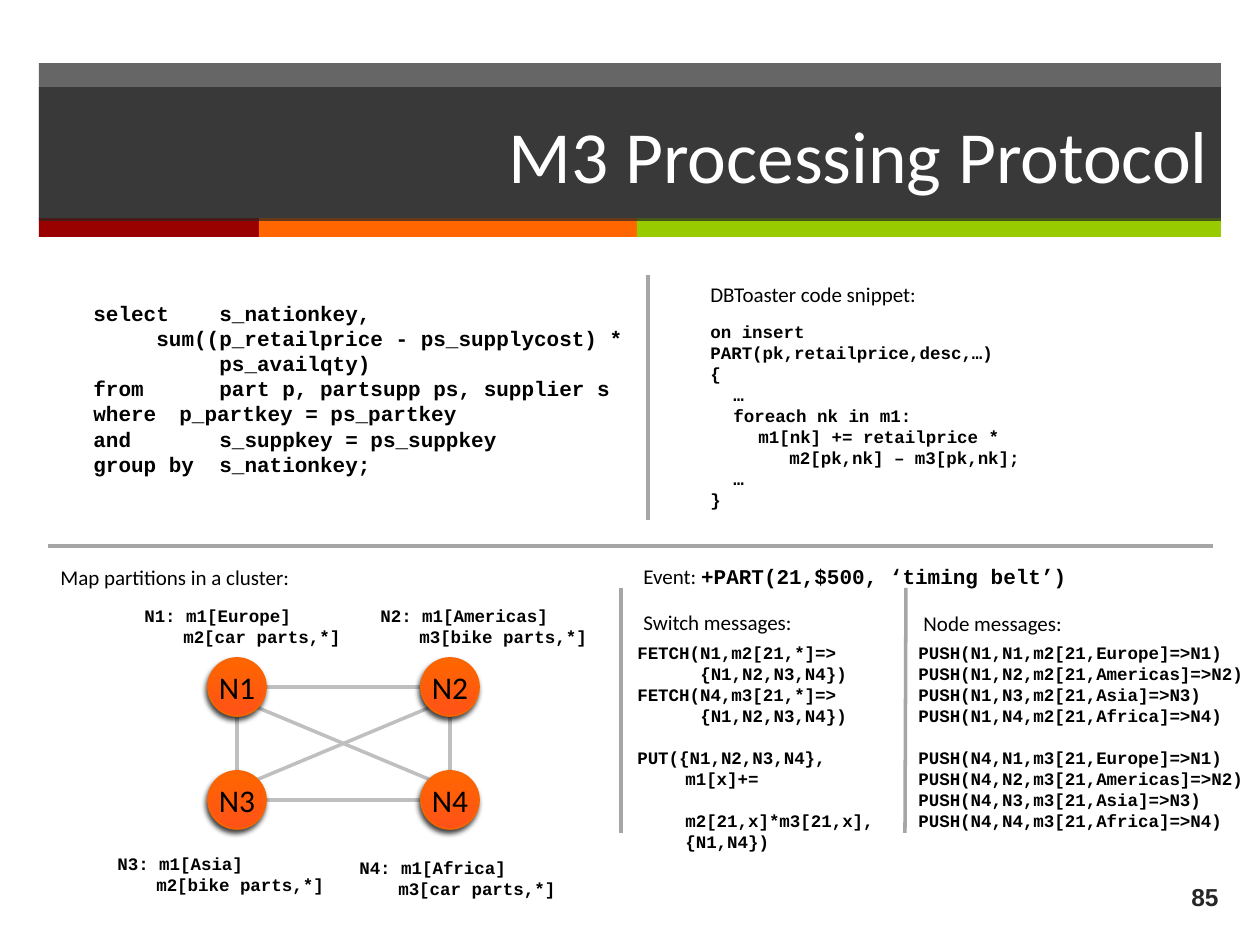
from itertools import combinations
from math import hypot

from lxml.etree import SubElement
from pptx import Presentation
from pptx.dml.color import RGBColor
from pptx.enum.shapes import MSO_CONNECTOR, MSO_SHAPE
from pptx.enum.text import MSO_ANCHOR, PP_ALIGN
from pptx.oxml.ns import qn
from pptx.util import Pt

PX = 914400 / 126
SANS, MONO = "Calibri", "Courier New"
BLACK, WHITE, DARK = "000000", "FFFFFF", "262626"

# Content: code lines are (text, tab stops, indent, space before)
STRIPES = [(39, 220, "990000"), (259, 378, "FF6600"), (637, 584, "99CC00")]

QUERY = [
    ("select\ts_nationkey,", [126]),
    ("\t\tsum((p_retailprice - ps_supplycost) *", [32, 63]),
    ("\t\t\tps_availqty)", [32, 86, 126]),
    ("from\t\tpart p, partsupp ps, supplier s", [63, 126]),
    ("where\tp_partkey = ps_partkey", [86]),
    ("and\t\ts_suppkey = ps_suppkey", [63, 126]),
    ("group by\ts_nationkey;", [126]),
]
STOPS = [23, 48, 79]
SNIPPET = [
    ("on insert",),
    ("PART(pk,retailprice,desc,…)",),
    ("{",),
    ("\t…", STOPS),
    ("\tforeach nk in m1:", STOPS),
    ("\t\tm1[nk] += retailprice *", STOPS),
    ("\t\t\tm2[pk,nk] – m3[pk,nk];", STOPS),
    ("\t…", STOPS),
    ("}",),
]
SWITCH_MESSAGES = [
    ("FETCH(N1,m2[21,*]=>",),
    ("\t{N1,N2,N3,N4})", [63]),
    ("FETCH(N4,m3[21,*]=>",),
    ("\t{N1,N2,N3,N4})", [63]),
    ("PUT({N1,N2,N3,N4},", [], 0, 12),
    ("m1[x]+=", [], 48),
    ("\tm2[21,x]*m3[21,x],", [71], 48),
    ("{N1,N4})", [], 48),
]
NODE_MESSAGES = [
    ("PUSH(N1,N1,m2[21,Europe]=>N1)",),
    ("PUSH(N1,N2,m2[21,Americas]=>N2)",),
    ("PUSH(N1,N3,m2[21,Asia]=>N3)",),
    ("PUSH(N1,N4,m2[21,Africa]=>N4)",),
    ("PUSH(N4,N1,m3[21,Europe]=>N1)", [], 0, 12),
    ("PUSH(N4,N2,m3[21,Americas]=>N2)",),
    ("PUSH(N4,N3,m3[21,Asia]=>N3)",),
    ("PUSH(N4,N4,m3[21,Africa]=>N4)",),
]
CODE_BLOCKS = [
    ((81, 294, 567, 190), 12, QUERY),
    ((698, 315, 336, 204), 10, SNIPPET),
    ((625, 636, 301, 204), 10, SWITCH_MESSAGES),
    ((906, 636, 399, 204), 10, NODE_MESSAGES),
]
LABELS = [
    ((698, 275, 239, 38), "DBToaster code snippet:"),
    ((48, 558, 257, 38), "Map partitions in a cluster:"),
    ((911, 604, 169, 38), "Node messages:"),
]
DIVIDERS = [
    (648, 275, 648, 520), (621, 588, 621, 833),
    (906, 588, 905, 833), (48, 546, 1213, 546),
]
# Node: name, centre, partition box, partition lines
NODES = [
    ("N1", (237, 687), (132, 599, 224, 55), ["N1: m1[Europe]", "\tm2[car parts,*]"]),
    ("N2", (450, 687), (368, 599, 234, 55), ["N2: m1[Americas]", "\tm3[bike parts,*]"]),
    ("N3", (237, 800), (105, 847, 262, 55), ["N3: m1[Asia]", "\tm2[bike parts,*]"]),
    ("N4", (450, 800), (347, 851, 229, 55), ["N4: m1[Africa]", "\tm3[car parts,*]"]),
]
RADIUS = 29

presentation = Presentation()
presentation.slide_width, presentation.slide_height = round(1260 * PX), round(945 * PX)
slide = presentation.slides.add_slide(presentation.slide_layouts[5])
shapes = slide.shapes


def emu(*lengths):
    return [round(length * PX) for length in lengths]


def color(value):
    return RGBColor.from_string(value)


def set_font(font, size, name=SANS, fill=BLACK, bold=False):
    font.size, font.name, font.bold = Pt(size), name, bold
    font.color.rgb = color(fill)


def fill_solid(shape, value, opacity=100):
    shape.fill.solid()
    shape.fill.fore_color.rgb = color(value)
    if opacity < 100:
        value_element = shape.fill._xPr.find(qn("a:solidFill"))[0]
        SubElement(value_element, qn("a:alpha"), val=str(opacity * 1000))


def add_bar(box, value, opacity=100):
    bar = shapes.add_shape(MSO_SHAPE.RECTANGLE, *emu(*box))
    bar.shadow.inherit = False
    bar.line.fill.background()
    fill_solid(bar, value, opacity)


def add_line(ends, value):
    line = shapes.add_connector(MSO_CONNECTOR.STRAIGHT, *emu(*ends))
    line.line.color.rgb = color(value)
    line.line.width = Pt(2)
    SubElement(line._element.spPr, qn("a:effectLst"))


def add_text_frame(box):
    frame = shapes.add_textbox(*emu(*box)).text_frame
    frame.word_wrap = True
    return frame


def add_label(box, text, size=12, align=PP_ALIGN.LEFT, **style):
    frame = add_text_frame(box)
    paragraph = frame.paragraphs[0]
    paragraph.text, paragraph.alignment = text, align
    set_font(paragraph.font, size, **style)
    return frame


def add_code_line(paragraph, size, text, stops=(), indent=0, before=0):
    paragraph.text = text
    properties = paragraph._p.get_or_add_pPr()
    if indent:
        properties.set("marL", str(round(indent * PX)))
        properties.set("indent", "0")
    if stops:
        tabs = SubElement(properties, qn("a:tabLst"))
        for stop in stops:
            SubElement(tabs, qn("a:tab"), pos=str(round(stop * PX)), algn="l")
    paragraph.line_spacing = Pt(size * 1.2)
    if before:
        paragraph.space_before = Pt(before)
    set_font(paragraph.font, size, MONO, bold=True)


def add_code(box, size, lines):
    frame = add_text_frame(box)
    for index, line in enumerate(lines):
        paragraph = frame.add_paragraph() if index else frame.paragraphs[0]
        add_code_line(paragraph, size, *line)


# Header bars, then the title above them
add_bar((39, 63, 1182, 156), DARK, 70)
for left, width, value in STRIPES:
    add_bar((left, 218, width, 19), value)
title = shapes.title
shapes._spTree.append(title._element)
title.left, title.top, title.width, title.height = emu(39, 87, 1182, 134)
fill_solid(title, DARK, 70)
title.text_frame.text = "M3 Processing Protocol"
title.text_frame.vertical_anchor = MSO_ANCHOR.MIDDLE
title.text_frame.paragraphs[0].alignment = PP_ALIGN.RIGHT
set_font(title.text_frame.paragraphs[0].font, 42, fill=WHITE)

# Quadrants: code, labels and dividers
for block in CODE_BLOCKS:
    add_code(*block)
for box, text in LABELS:
    add_label(box, text)
for ends in DIVIDERS:
    add_line(ends, "A6A6A6")

# Event and the switch heading below it
frame = add_label((631, 557, 455, 84), "Event: ")
event = frame.paragraphs[0]
event.space_after = Pt(12)
call = event.add_run()
call.text = "+PART(21,$500, ‘timing belt’)"
set_font(call.font, 12, MONO, bold=True)
heading = frame.add_paragraph()
heading.text = "Switch messages:"
set_font(heading.font, 12)

# Cluster: every pair of nodes is linked from rim to rim
for (_, (x1, y1), *_), (_, (x2, y2), *_) in combinations(NODES, 2):
    across, down = (x2 > x1) - (x2 < x1), (y2 > y1) - (y2 < y1)
    dx, dy = (RADIUS * step / hypot(across, down) for step in (across, down))
    add_line((x1 + dx, y1 + dy, x2 - dx, y2 - dy), "BFBFBF")
for name, (x, y), box, lines in NODES:
    node = shapes.add_shape(
        MSO_SHAPE.OVAL, *emu(x - RADIUS, y - RADIUS, 2 * RADIUS, 2 * RADIUS))
    node.fill.gradient()
    node.fill.gradient_angle = 90
    for stop, value in zip(node.fill.gradient_stops, ("FF5217", "FF6600")):
        stop.color.rgb = color(value)
    node.line.color.rgb = color("F96400")
    node.line.width = Pt(1)
    effects = SubElement(node._element.spPr, qn("a:effectLst"))
    shadow = SubElement(effects, qn("a:outerShdw"), blurRad="38100", dist="25400",
                        dir="6600000", rotWithShape="0")
    shade = SubElement(shadow, qn("a:srgbClr"), val=BLACK)
    SubElement(shade, qn("a:alpha"), val="75000")
    add_label((x - 32, y - 25, 64, 50), name, 18, PP_ALIGN.CENTER)
    add_code(box, 10, [(line, [39]) for line in lines])

# Slide number
number = add_label((1144, 872, 87, 49), "85", 14, PP_ALIGN.RIGHT,
                   name="Arial", fill=DARK, bold=True)
number.vertical_anchor = MSO_ANCHOR.MIDDLE

presentation.save("out.pptx")
